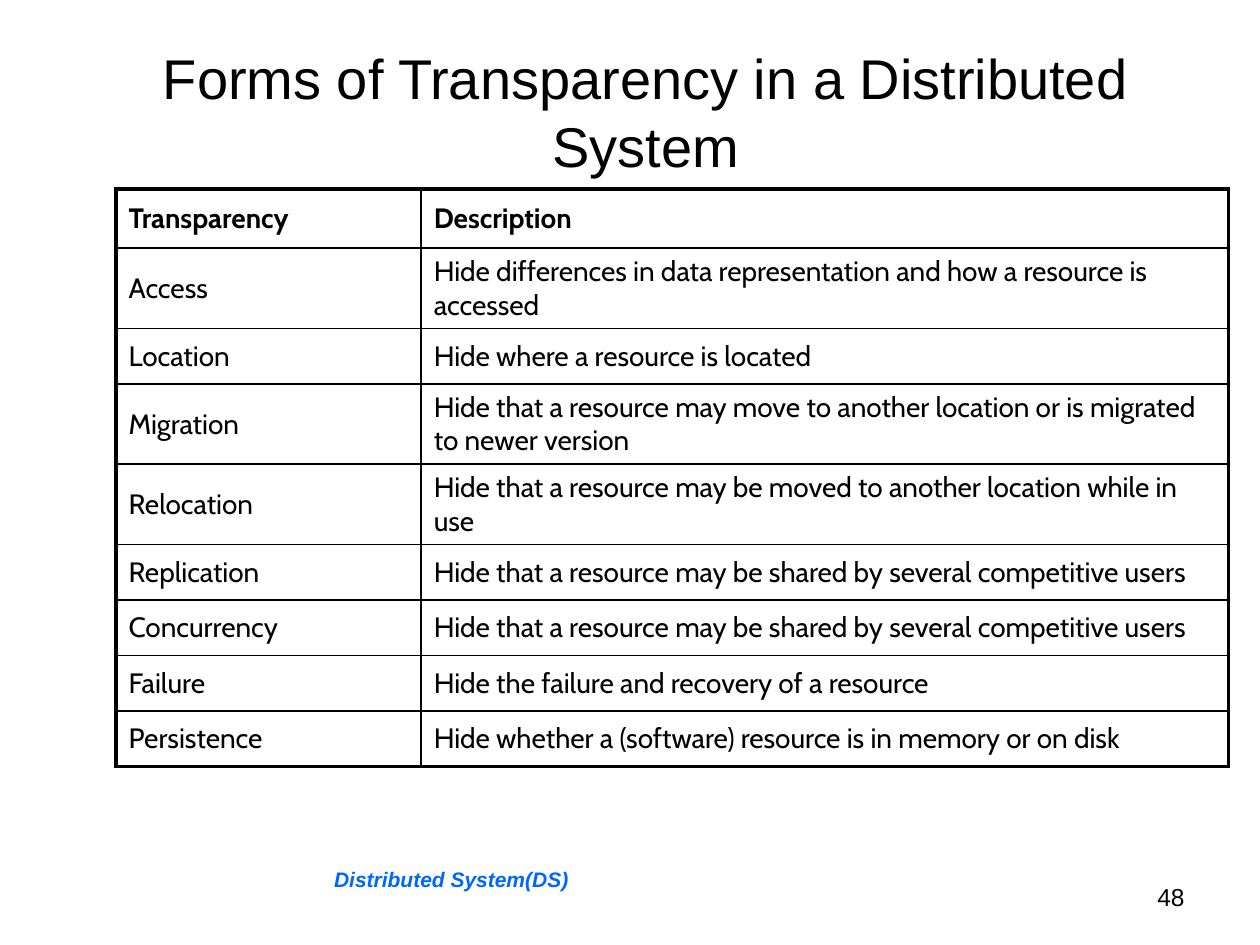
from lxml.etree import SubElement
from pptx import Presentation
from pptx.dml.color import RGBColor
from pptx.enum.text import MSO_ANCHOR as Anchor, PP_ALIGN as Align
from pptx.oxml.ns import qn
from pptx.util import Cm, Pt

BLACK = RGBColor(0x00, 0x00, 0x00)
BLUE = RGBColor(0x00, 0x66, 0xFF)
THIN, THICK = Pt(1), Pt(2.25)

ROWS = [
    ("Transparency", "Description"),
    ("Access", "Hide differences in data representation and how a resource is accessed"),
    ("Location", "Hide where a resource is located"),
    ("Migration", "Hide that a resource may move to another location or is migrated to newer version"),
    ("Relocation", "Hide that a resource may be moved to another location while in use"),
    ("Replication", "Hide that a resource may be shared by several competitive users"),
    ("Concurrency", "Hide that a resource may be shared by several competitive users"),
    ("Failure", "Hide the failure and recovery of a resource"),
    ("Persistence", "Hide whether a (software) resource is in memory or on disk"),
]


class Deck:
    font = "Arial"
    cell_font = "Cabin"

    def __init__(self):
        self.prs = Presentation()
        self.prs.slide_width, self.prs.slide_height = Cm(25.4), Cm(19.05)
        self.slide = self.prs.slides.add_slide(self.prs.slide_layouts[5])

    def style(self, frame, size, name, color=BLACK, bold=False, italic=False, align=Align.LEFT):
        para = frame.paragraphs[0]
        para.alignment = align
        for run in para.runs:
            font = run.font
            font.name, font.size = name, Pt(size)
            font.bold, font.italic = bold, italic
            font.color.rgb = color

    def title(self, text, left, top, width, height):
        box = self.slide.shapes.title
        box.left, box.top, box.width, box.height = map(Cm, (left, top, width, height))
        frame = box.text_frame
        frame.text = text
        frame.vertical_anchor = Anchor.MIDDLE
        self.style(frame, 32, self.font, align=Align.CENTER)

    def text(self, text, left, top, width, height, size, **look):
        box = self.slide.shapes.add_textbox(*map(Cm, (left, top, width, height)))
        frame = box.text_frame
        frame.word_wrap = True
        frame.text = text
        self.style(frame, size, self.font, **look)

    def border(self, cell, side, width):
        props = cell._tc.get_or_add_tcPr()
        line = SubElement(props, qn(f"a:ln{side}"), w=str(width))
        fill = SubElement(line, qn("a:solidFill"))
        SubElement(fill, qn("a:srgbClr"), val=str(BLACK))

    def table(self, rows, left, top, widths, heights):
        count, span = len(rows), len(widths)
        frame = self.slide.shapes.add_table(
            count, span, Cm(left), Cm(top), Cm(sum(widths)), Cm(sum(heights)))
        table = frame.table
        table.first_row = table.horz_banding = False
        for col, width in zip(table.columns, widths):
            col.width = Cm(width)
        for r, (row, height) in enumerate(zip(rows, heights)):
            table.rows[r].height = Cm(height)
            for c, text in enumerate(row):
                cell = table.cell(r, c)
                cell.text_frame.text = text
                cell.vertical_anchor = Anchor.MIDDLE
                self.style(cell.text_frame, 16, self.cell_font, bold=r == 0)
                # Thick outer frame, thin inner lines
                outer = {"L": c == 0, "R": c == span - 1, "T": r == 0, "B": r == count - 1}
                for side, edge in outer.items():
                    self.border(cell, side, THICK if edge else THIN)
                cell.fill.background()


def main():
    deck = Deck()
    # Title
    deck.title("Forms of Transparency in a Distributed System", 1.27, 1.07, 23.5, 2.34)
    # Table of forms
    deck.table(ROWS, 2.34, 3.81, [6.15, 16.28], [1.19] + [1.12] * (len(ROWS) - 1))
    # Page number and footer
    deck.text("48", 18.2, 17.65, 5.93, 1.02, 14, align=Align.RIGHT)
    deck.text("Distributed System(DS)", 1.48, 17.35, 15.24, 1.32, 12,
              color=BLUE, bold=True, italic=True, align=Align.CENTER)
    deck.prs.save("out.pptx")


if __name__ == "__main__":
    main()
